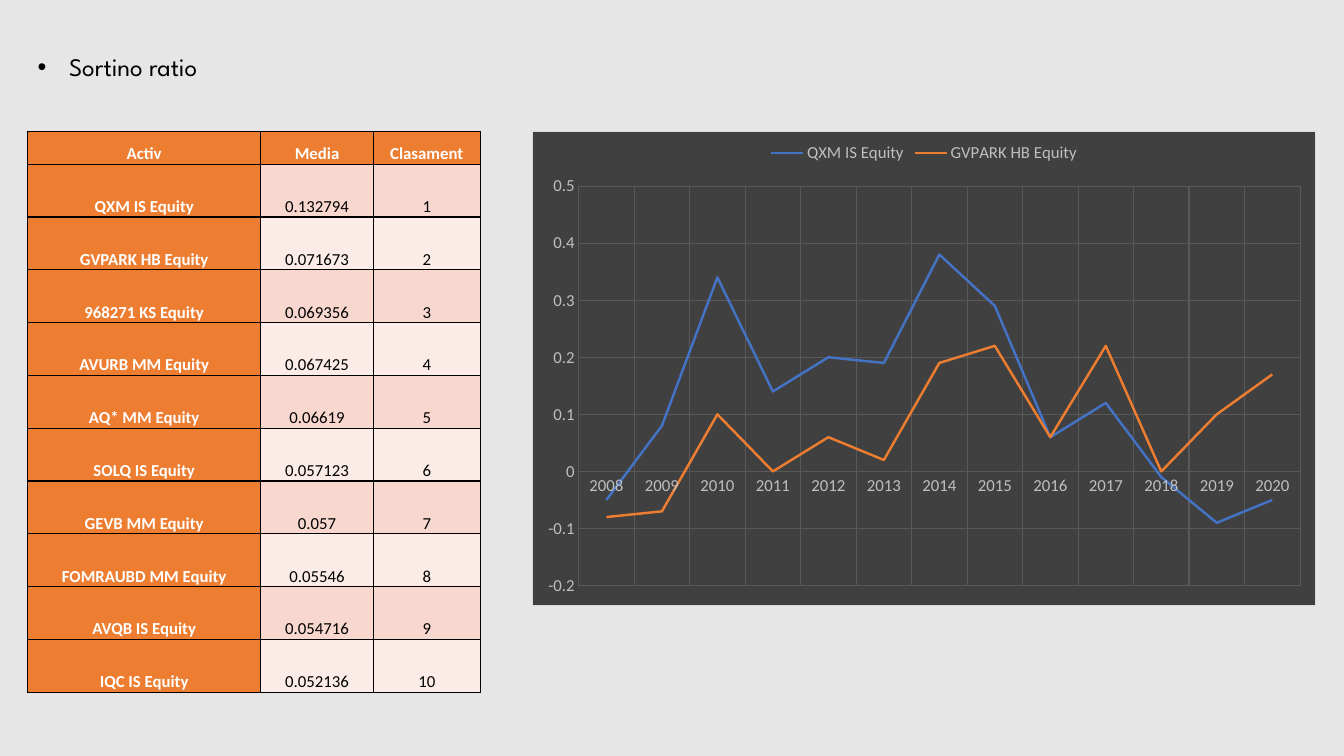
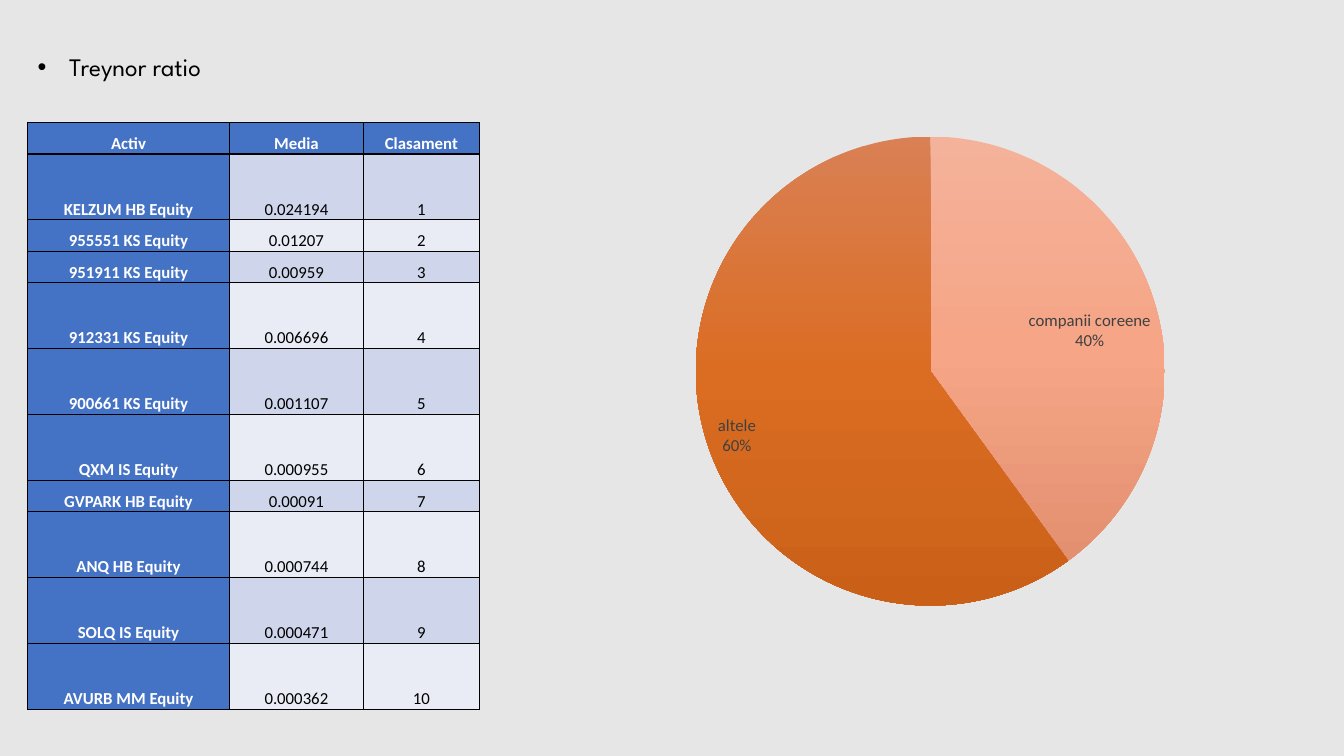
"""Build two slides that rank assets by their Sortino and Treynor ratios."""
from copy import deepcopy

from lxml import etree
from pptx import Presentation
from pptx.chart.data import CategoryChartData
from pptx.dml.color import RGBColor
from pptx.enum.chart import XL_CHART_TYPE, XL_LABEL_POSITION, XL_LEGEND_POSITION, XL_TICK_MARK
from pptx.enum.text import MSO_ANCHOR, MSO_AUTO_SIZE, PP_ALIGN
from pptx.oxml.ns import qn
from pptx.util import Cm, Pt

LINE, PIE = XL_CHART_TYPE.LINE, XL_CHART_TYPE.PIE
LEGEND_TOP = XL_LEGEND_POSITION.TOP
BEST_FIT = XL_LABEL_POSITION.BEST_FIT
NO_TICK = XL_TICK_MARK.NONE
BOTTOM, CENTER = MSO_ANCHOR.BOTTOM, PP_ALIGN.CENTER
FIT_SHAPE = MSO_AUTO_SIZE.SHAPE_TO_FIT_TEXT

BODY_FONT, TITLE_FONT = "Calibri", "League Spartan"
BLACK, WHITE, BACKGROUND = "000000", "FFFFFF", "E7E6E6"
BLUE, ORANGE = "4472C4", "ED7D31"
PANEL, PANEL_BORDER, PANEL_TEXT, GRID = "404040", "D9D9D9", "BFBFBF", "595959"
LABEL_TEXT = "404040"
LEFT = 0.7
TALL, SHORT = 1.66, 0.79

HEADINGS = ("Activ", "Media", "Clasament")

SORTINO = {
    "title": "Sortino ratio",
    "top": 3.31,
    "columns": (5.87, 2.84, 2.69),
    "rows": [0.83] + [1.33] * 10,
    "accent": ORANGE,
    "bands": ("F8D7CE", "FCECE8"),
    "ranking": [
        ("QXM IS Equity", "0.132794"),
        ("GVPARK HB Equity", "0.071673"),
        ("968271 KS Equity", "0.069356"),
        ("AVURB MM Equity", "0.067425"),
        ("AQ* MM Equity", "0.06619"),
        ("SOLQ IS Equity", "0.057123"),
        ("GEVB MM Equity", "0.057"),
        ("FOMRAUBD MM Equity", "0.05546"),
        ("AVQB IS Equity", "0.054716"),
        ("IQC IS Equity", "0.052136"),
    ],
}

TREYNOR = {
    "title": "Treynor ratio",
    "top": 3.09,
    "columns": (5.08, 3.38, 2.92),
    "rows": [SHORT, TALL, SHORT, SHORT, TALL, TALL, TALL, SHORT, TALL, TALL, TALL],
    "accent": BLUE,
    "bands": ("CFD5EA", "E9EBF5"),
    "ranking": [
        ("KELZUM HB Equity", "0.024194"),
        ("955551 KS Equity", "0.01207"),
        ("951911 KS Equity", "0.00959"),
        ("912331 KS Equity", "0.006696"),
        ("900661 KS Equity", "0.001107"),
        ("QXM IS Equity", "0.000955"),
        ("GVPARK HB Equity", "0.00091"),
        ("ANQ HB Equity", "0.000744"),
        ("SOLQ IS Equity", "0.000471"),
        ("AVURB MM Equity", "0.000362"),
    ],
}

YEARS = [str(year) for year in range(2008, 2021)]
YEARLY_RATIOS = [
    ("QXM IS Equity", BLUE,
     (-0.05, 0.08, 0.34, 0.14, 0.2, 0.19, 0.38, 0.29, 0.06, 0.12, -0.01, -0.09, -0.05)),
    ("GVPARK HB Equity", ORANGE,
     (-0.08, -0.07, 0.1, 0, 0.06, 0.02, 0.19, 0.22, 0.06, 0.22, 0, 0.1, 0.17)),
]
SHARES = [
    ("companii coreene", 40, ("F4B29A", "F6A586", "E29070")),
    ("altele", 60, ("D98054", "DB6D23", "CA6018")),
]


def rgb(color):
    """Turn a hex string into a colour."""
    return RGBColor.from_string(color)


def child(parent, tag, **attributes):
    """Append an XML element to a parent."""
    return etree.SubElement(parent, qn(tag), attributes)


def style_font(font, size, color, name=BODY_FONT, bold=False):
    """Set the face, size, colour and weight of a font."""
    font.name, font.size, font.bold = name, Pt(size), bold
    font.color.rgb = rgb(color)


def style_line(line, color, width):
    """Set the colour and width of a line."""
    line.color.rgb = rgb(color)
    line.width = Pt(width)


def add_title(slide, title):
    """Add the bulleted slide title."""
    box = slide.shapes.add_textbox(Cm(LEFT), Cm(1.17), Cm(9.07), Cm(1.02))
    frame = box.text_frame
    frame.word_wrap = True
    frame.auto_size = FIT_SHAPE
    paragraph = frame.paragraphs[0]
    properties = paragraph._p.get_or_add_pPr()
    properties.set("marL", str(Cm(0.79)))
    properties.set("indent", str(-Cm(0.79)))
    child(properties, "a:buFont", typeface="Arial")
    child(properties, "a:buChar", char="•")
    run = paragraph.add_run()
    run.text = title
    style_font(run.font, 18, BLACK, TITLE_FONT)


def fill_cell(cell, text, fill, color, bold):
    """Write one bordered table cell."""
    properties = cell._tc.get_or_add_tcPr()
    for side in ("a:lnL", "a:lnR", "a:lnT", "a:lnB"):
        border = child(properties, side, w=str(Pt(1)))
        child(child(border, "a:solidFill"), "a:srgbClr", val=BLACK)
    cell.fill.solid()
    cell.fill.fore_color.rgb = rgb(fill)
    cell.vertical_anchor = BOTTOM
    cell.margin_left = cell.margin_right = Cm(0.18)
    cell.margin_top = cell.margin_bottom = 0
    paragraph = cell.text_frame.paragraphs[0]
    paragraph.alignment = CENTER
    paragraph.line_spacing = 1.5
    run = paragraph.add_run()
    run.text = text
    style_font(run.font, 12, color, bold=bold)


def add_ranking(slide, ratio):
    """Add the table of ranked assets."""
    entries = [HEADINGS]
    entries += [(*entry, str(rank)) for rank, entry in enumerate(ratio["ranking"], 1)]
    columns, rows = ratio["columns"], ratio["rows"]
    table = slide.shapes.add_table(
        len(rows), len(columns), Cm(LEFT), Cm(ratio["top"]), Cm(sum(columns)), Cm(sum(rows))
    ).table
    table.first_row = table.horz_banding = False
    for column, width in zip(table.columns, columns):
        column.width = Cm(width)
    for i, (row, height) in enumerate(zip(table.rows, rows)):
        row.height = Cm(height)
        for j, text in enumerate(entries[i]):
            heading = i == 0 or j == 0
            fill = ratio["accent"] if heading else ratio["bands"][(i - 1) % 2]
            fill_cell(row.cells[j], text, fill, WHITE if heading else BLACK, heading)


def add_chart(slide, kind, place, categories, series):
    """Add a chart without a title."""
    data = CategoryChartData()
    data.categories = categories
    for name, values in series:
        data.add_series(name, values)
    chart = slide.shapes.add_chart(kind, *map(Cm, place), data).chart
    chart.has_title = chart.has_legend = False
    style_font(chart.font, 10, BLACK)
    return chart


def add_panel(chart):
    """Give the chart area a dark fill and a thin border."""
    panel = etree.Element(qn("c:spPr"))
    child(child(panel, "a:solidFill"), "a:srgbClr", val=PANEL)
    border = child(panel, "a:ln", w=str(Pt(0.75)))
    child(child(border, "a:solidFill"), "a:srgbClr", val=PANEL_BORDER)
    chart.element.find(qn("c:chart")).addnext(panel)


def add_yearly_chart(slide):
    """Add the line chart of yearly ratios."""
    series = [(name, values) for name, _, values in YEARLY_RATIOS]
    chart = add_chart(slide, LINE, (13.41, 3.3, 19.76, 11.96), YEARS, series)
    add_panel(chart)
    chart.has_legend = True
    chart.legend.position = LEGEND_TOP
    chart.legend.include_in_layout = False
    style_font(chart.legend.font, 12, PANEL_TEXT)
    for axis in (chart.category_axis, chart.value_axis):
        axis.major_tick_mark = axis.minor_tick_mark = NO_TICK
        axis.has_major_gridlines = True
        style_line(axis.major_gridlines.format.line, GRID, 0.75)
        axis.format.line.fill.background()
        style_font(axis.tick_labels.font, 12, PANEL_TEXT)
    ratios = chart.value_axis
    ratios.minimum_scale, ratios.maximum_scale, ratios.major_unit = -0.2, 0.5, 0.1
    ratios.tick_labels.number_format = "General"
    ratios.tick_labels.number_format_is_linked = False
    for asset, (_, color, _) in zip(chart.plots[0].series, YEARLY_RATIOS):
        asset.smooth = False
        style_line(asset.format.line, color, 1.75)


def add_share_chart(slide):
    """Add the pie chart of company shares."""
    names, values, gradients = zip(*SHARES)
    chart = add_chart(slide, PIE, (15.14, 3.09, 16.61, 12.52), names, [("Series 1", values)])
    plot = chart.plots[0]
    plot.vary_by_categories = True
    fills = [plot.series[0].points[i].format.fill for i in range(len(SHARES))]
    for fill in fills:
        fill.gradient()
        fill.gradient_angle = 270
    for stops in chart.element.iter(qn("a:gsLst")):
        stops.append(deepcopy(stops[-1]))
    for fill, colors in zip(fills, gradients):
        for i, (stop, color) in enumerate(zip(fill.gradient_stops, colors)):
            stop.position = i / 2
            stop.color.rgb = rgb(color)
    plot.has_data_labels = True
    labels = plot.data_labels
    labels.show_category_name = labels.show_percentage = True
    labels.show_value = False
    labels.number_format, labels.number_format_is_linked = "0%", False
    labels.position = BEST_FIT
    style_font(labels.font, 12, LABEL_TEXT)
    separator = etree.Element(qn("c:separator"))
    separator.text = "\n"
    next(chart.element.iter(qn("c:showBubbleSize"))).addnext(separator)


def main():
    """Build and save the presentation."""
    deck = Presentation()
    deck.slide_width, deck.slide_height = Cm(33.87), Cm(19.05)
    background = deck.slide_master.background.fill
    background.solid()
    background.fore_color.rgb = rgb(BACKGROUND)
    for ratio, add_ratio_chart in ((SORTINO, add_yearly_chart), (TREYNOR, add_share_chart)):
        slide = deck.slides.add_slide(deck.slide_layouts[6])
        add_title(slide, ratio["title"])
        add_ranking(slide, ratio)
        add_ratio_chart(slide)
    deck.save("out.pptx")


if __name__ == "__main__":
    main()
